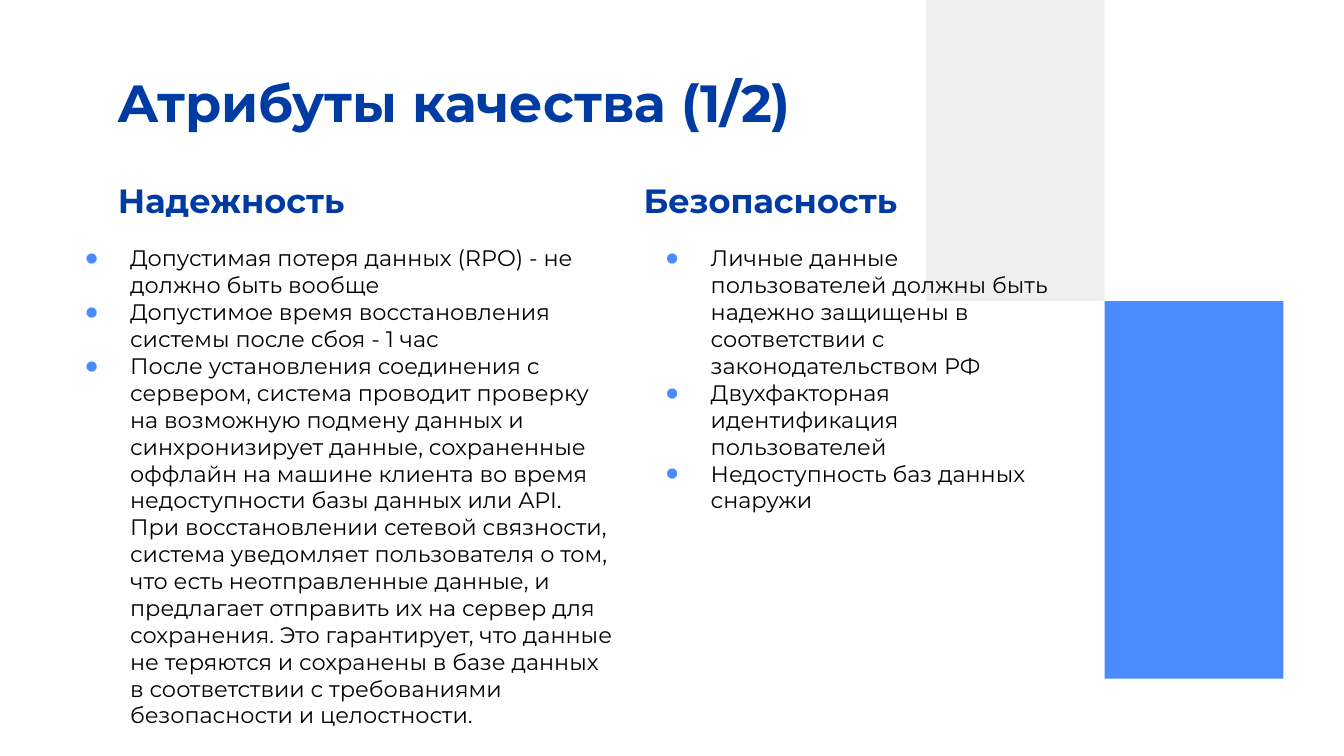
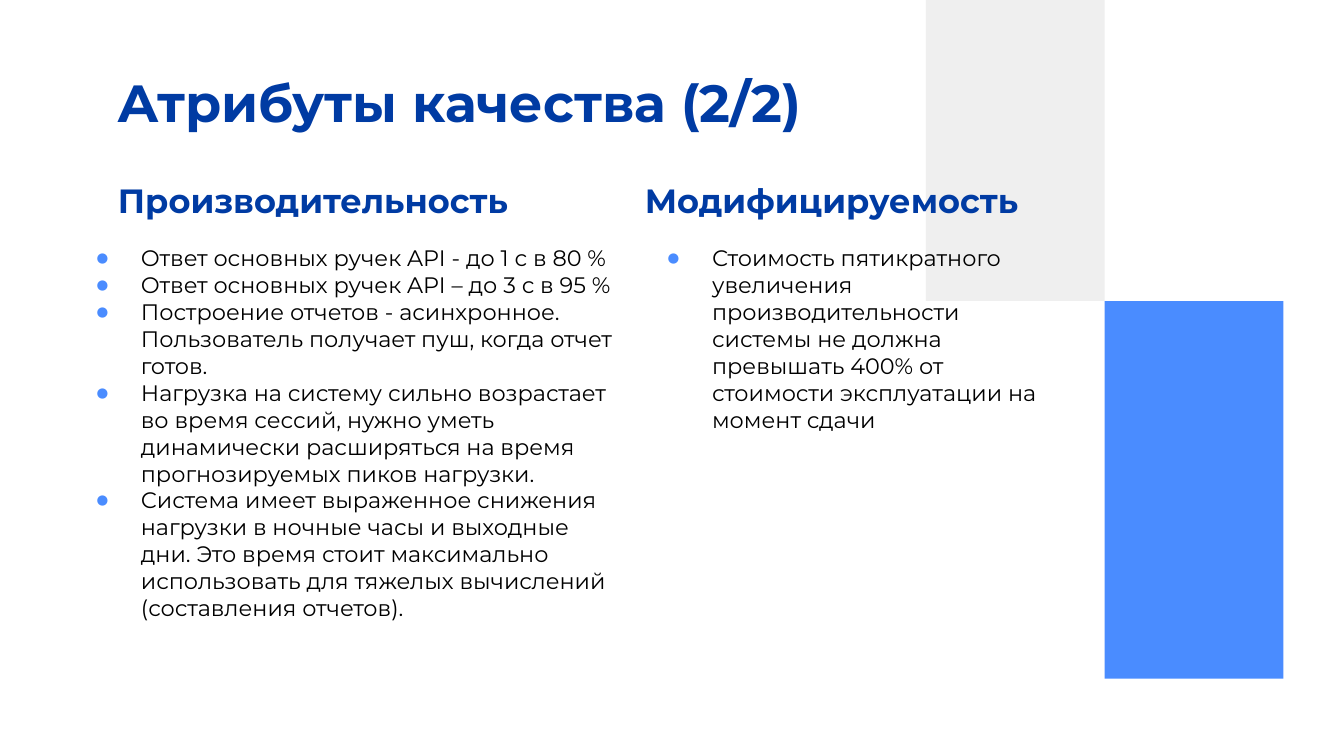
import pptx
import pptx.dml.color
import pptx.enum.shapes
import pptx.enum.text
import pptx.oxml.ns
import pptx.util
import lxml.etree

Inches = pptx.util.Inches
FONT = "Montserrat"
COLORS = {"title": "003BA3", "text": "000000", "blue": "4A8CFF", "gray": "EFEFEF"}
BODY_TOP, HEAD_TOP, HEAD_LEFT = 1.72, 1.24, 0.78

# Each column: heading, (heading left, width), (list left, width, height), items
SLIDES = [
    ("Атрибуты качества (1/2)", [
        ("Надежность", (HEAD_LEFT, 3.27), (0.37, 4.32, 3.58), [
            "Допустимая потеря данных (RPO) - не должно быть вообще",
            "Допустимое время восстановления системы после сбоя - 1 час",
            "После установления соединения с сервером, система проводит проверку "
            "на возможную подмену данных и синхронизирует данные, сохраненные "
            "оффлайн на машине клиента во время недоступности базы данных или API. "
            "При восстановлении сетевой связности, система уведомляет пользователя "
            "о том, что есть неотправленные данные, и предлагает отправить их на "
            "сервер для сохранения. Это гарантирует, что данные не теряются и "
            "сохранены в базе данных в соответствии с требованиями безопасности "
            "и целостности.",
        ]),
        ("Безопасность", (4.69, 3.27), (4.69, 3.27, 3.02), [
            "Личные данные пользователей должны быть надежно защищены в "
            "соответствии с законодательством РФ",
            "Двухфакторная идентификация пользователей",
            "Недоступность баз данных снаружи",
        ]),
    ]),
    ("Атрибуты качества (2/2)", [
        ("Производительность", (HEAD_LEFT, 3.27), (0.45, 4.25, 3.58), [
            "Ответ основных ручек API - до 1 с в 80 %",
            "Ответ основных ручек API – до 3 с в 95 %",
            "Построение отчетов - асинхронное. Пользователь получает пуш, когда "
            "отчет готов.",
            "Нагрузка на систему сильно возрастает во время сессий, нужно уметь "
            "динамически расширяться на время прогнозируемых пиков нагрузки.",
            "Система имеет выраженное снижения нагрузки в ночные часы и выходные "
            "дни. Это время стоит максимально использовать для тяжелых вычислений "
            "(составления отчетов).",
        ]),
        ("Модифицируемость", (4.7, 3.14), (4.7, 3.14, 3.02), [
            "Стоимость пятикратного увеличения производительности системы не "
            "должна превышать 400% от стоимости эксплуатации на момент сдачи",
        ]),
    ]),
]


def rgb(name):
    return pptx.dml.color.RGBColor.from_string(COLORS[name])


def add_block(slide, left, top, width, height, color):
    block = slide.shapes.add_shape(
        pptx.enum.shapes.MSO_SHAPE.RECTANGLE,
        Inches(left), Inches(top), Inches(width), Inches(height))
    block.shadow.inherit = False
    block.fill.solid()
    block.fill.fore_color.rgb = rgb(color)
    block.line.fill.background()


def add_text(slide, box, lines, size, color, bold=False):
    frame = slide.shapes.add_textbox(*map(Inches, box)).text_frame
    frame.word_wrap = True
    frame.vertical_anchor = pptx.enum.text.MSO_ANCHOR.TOP
    frame.margin_left = frame.margin_right = Inches(0.1)
    frame.margin_top = frame.margin_bottom = Inches(0.1)
    frame.text = "\n".join(lines)
    for para in frame.paragraphs:
        for run in para.runs:
            run.font.name = FONT
            run.font.size = pptx.util.Pt(size)
            run.font.bold = bold
            run.font.color.rgb = rgb(color)
    return frame


def add_bullet(para):
    props = para._p.get_or_add_pPr()
    props.set("marL", str(Inches(0.5)))
    props.set("indent", str(Inches(-0.33)))
    qn = pptx.oxml.ns.qn
    tint = lxml.etree.SubElement(props, qn("a:buClr"))
    lxml.etree.SubElement(tint, qn("a:srgbClr"), val=COLORS["blue"])
    lxml.etree.SubElement(props, qn("a:buSzPct"), val="60000")
    lxml.etree.SubElement(props, qn("a:buFont"), typeface=FONT)
    lxml.etree.SubElement(props, qn("a:buChar"), char="●")


def add_column(slide, head, place, area, items):
    # Bulleted list
    left, width, height = area
    body = add_text(slide, (left, BODY_TOP, width, height), items, 12, "text")
    for para in body.paragraphs:
        add_bullet(para)
    # Heading
    left, width = place
    frame = add_text(slide, (left, HEAD_TOP, width, 0.51), [head], 18, "title", True)
    frame.paragraphs[0].space_after = pptx.util.Pt(16)


def add_page(deck, title, columns):
    slide = deck.slides.add_slide(deck.slide_layouts[6])
    add_block(slide, 6.89, 0, 1.33, 2.24, "gray")
    add_text(slide, (HEAD_LEFT, 0.42, 8.44, 0.63), [title], 28, "title", True)
    for column in columns:
        add_column(slide, *column)
    add_block(slide, 8.22, 2.24, 1.33, 2.81, "blue")


def main():
    deck = pptx.Presentation()
    # Widescreen, 16:9
    deck.slide_width, deck.slide_height = Inches(10), Inches(10 * 9 / 16)
    for title, columns in SLIDES:
        add_page(deck, title, columns)
    deck.save("out.pptx")


if __name__ == "__main__":
    main()
